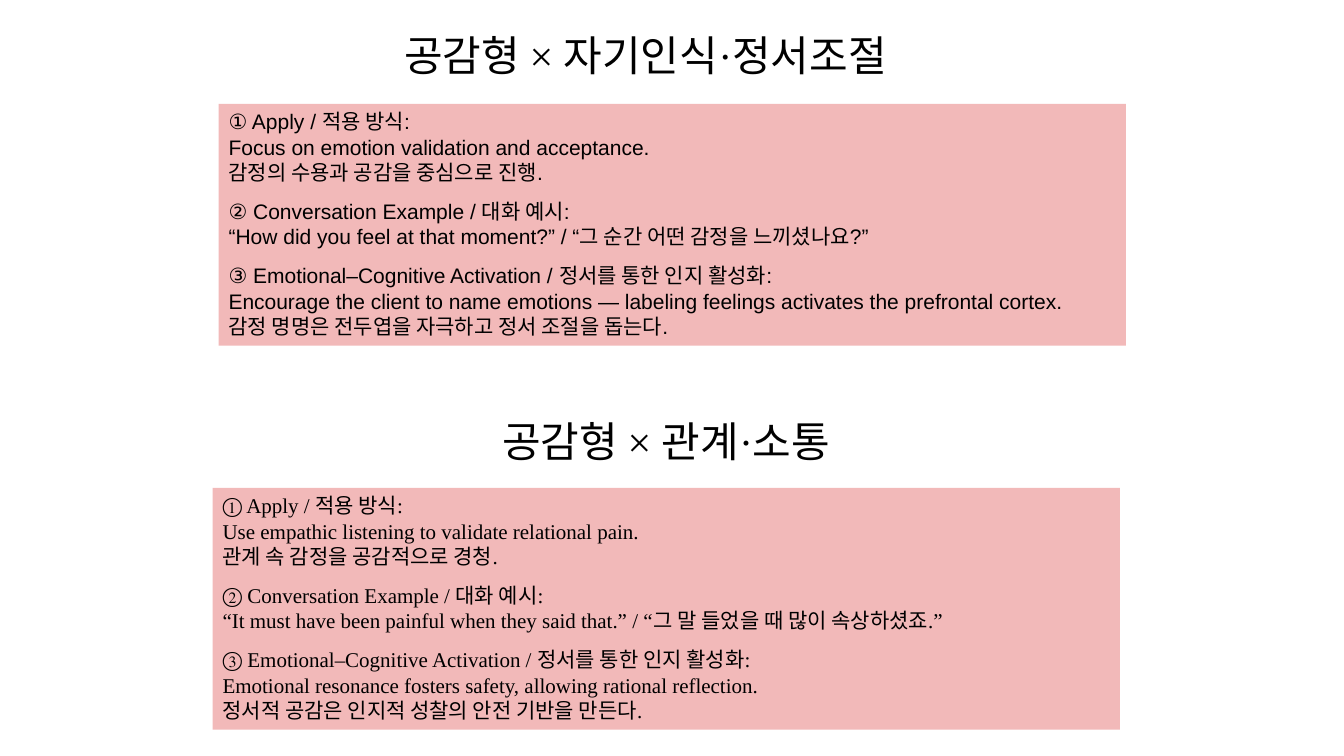
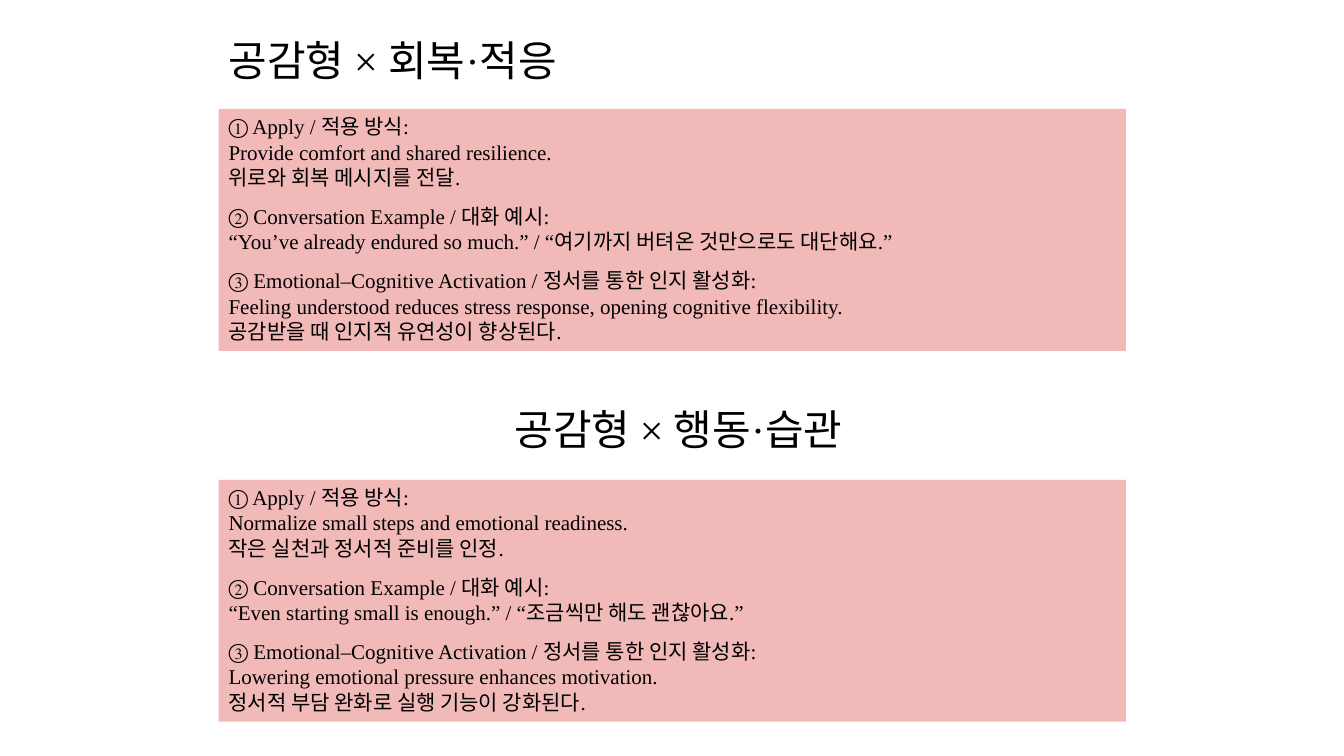
from dataclasses import dataclass

from pptx import Presentation
from pptx.dml.color import RGBColor
from pptx.enum import shapes, text
from pptx.util import Pt


@dataclass(frozen=True)
class Theme:
    ink: RGBColor = RGBColor(0, 0, 0)
    rose: RGBColor = RGBColor(0xF2, 0xB9, 0xB9)
    serif: str = "Times New Roman"
    sans: str = "Arial"
    head: float = 30
    body: float = 15
    gap: float = 10
    width: float = 648
    height: float = 172.8


HEADS = (
    "① Apply / 적용 방식:",
    "② Conversation Example / 대화 예시:",
    "③ Emotional–Cognitive Activation / 정서를 통한 인지 활성화:",
)


class Deck:
    def __init__(self, theme):
        self.theme = theme
        self.prs = Presentation()
        self.prs.slide_width, self.prs.slide_height = Pt(960), Pt(540)
        self.slide = None

    def page(self):
        layout = self.prs.slide_layouts[5]
        self.slide = self.prs.slides.add_slide(layout)

    def ink(self, para, font, size):
        for run in para.runs:
            run.font.name = font
            run.font.size = Pt(size)
            run.font.color.rgb = self.theme.ink

    def label(self, shape, words, align):
        """Write a one-line heading into a placeholder or text box."""
        frame = shape.text_frame
        frame.text = words
        frame.word_wrap = True
        frame.auto_size = text.MSO_AUTO_SIZE.NONE
        frame.vertical_anchor = text.MSO_ANCHOR.MIDDLE
        para = frame.paragraphs[0]
        para.alignment = align
        self.ink(para, self.theme.serif, self.theme.head)
        return para

    def title(self, words, x, y, w, h):
        shape = self.slide.shapes.title
        shape.left, shape.top, shape.width, shape.height = map(Pt, (x, y, w, h))
        para = self.label(shape, words, text.PP_ALIGN.LEFT)
        para.line_spacing = 0.9

    def subhead(self, words, x, y, w, h):
        box = self.slide.shapes.add_textbox(*map(Pt, (x, y, w, h)))
        self.label(box, words, text.PP_ALIGN.CENTER)

    def panel(self, x, y, parts, font=None):
        """Draw a rose box that sets each part under its numbered heading."""
        look = self.theme
        box = self.slide.shapes.add_shape(
            shapes.MSO_SHAPE.RECTANGLE,
            Pt(x), Pt(y), Pt(look.width), Pt(look.height))
        box.shadow.inherit = False
        box.fill.solid()
        box.fill.fore_color.rgb = look.rose
        box.line.fill.background()
        frame = box.text_frame
        frame.word_wrap = True
        frame.vertical_anchor = text.MSO_ANCHOR.TOP
        for i, (head, part) in enumerate(zip(HEADS, parts)):
            para = frame.add_paragraph() if i else frame.paragraphs[0]
            para.text = f"{head}\n{part}"
            para.alignment = text.PP_ALIGN.LEFT
            para.space_after = Pt(look.gap if i < len(HEADS) - 1 else 0)
            self.ink(para, font or look.serif, look.body)


def main():
    deck = Deck(Theme())

    deck.page()
    deck.title("공감형 × 자기인식·정서조절", 281.5, -3.6, 396.7, 90)
    deck.panel(156.2, 74.2, (
        "Focus on emotion validation and acceptance.\n"
        "감정의 수용과 공감을 중심으로 진행.",
        "“How did you feel at that moment?” / “그 순간 어떤 감정을 느끼셨나요?”",
        "Encourage the client to name emotions — labeling feelings "
        "activates the prefrontal cortex.\n"
        "감정 명명은 전두엽을 자극하고 정서 조절을 돕는다.",
    ), deck.theme.sans)
    deck.subhead("공감형 × 관계·소통", 151.9, 270, 648, 90)
    deck.panel(151.9, 348.5, (
        "Use empathic listening to validate relational pain.\n"
        "관계 속 감정을 공감적으로 경청.",
        "“It must have been painful when they said that.” / "
        "“그 말 들었을 때 많이 속상하셨죠.”",
        "Emotional resonance fosters safety, allowing rational reflection.\n"
        "정서적 공감은 인지적 성찰의 안전 기반을 만든다.",
    ))

    deck.page()
    deck.title("공감형 × 회복·적응", 156.2, 0, 648, 90)
    deck.panel(156.2, 77.8, (
        "Provide comfort and shared resilience.\n"
        "위로와 회복 메시지를 전달.",
        "“You’ve already endured so much.” / "
        "“여기까지 버텨온 것만으로도 대단해요.”",
        "Feeling understood reduces stress response, "
        "opening cognitive flexibility.\n"
        "공감받을 때 인지적 유연성이 향상된다.",
    ))
    deck.subhead("공감형 × 행동·습관", 304.6, 284.4, 360, 43.9)
    deck.panel(156.2, 342.7, (
        "Normalize small steps and emotional readiness.\n"
        "작은 실천과 정서적 준비를 인정.",
        "“Even starting small is enough.” / “조금씩만 해도 괜찮아요.”",
        "Lowering emotional pressure enhances motivation.\n"
        "정서적 부담 완화로 실행 기능이 강화된다.",
    ))

    deck.prs.save("out.pptx")


if __name__ == "__main__":
    main()
